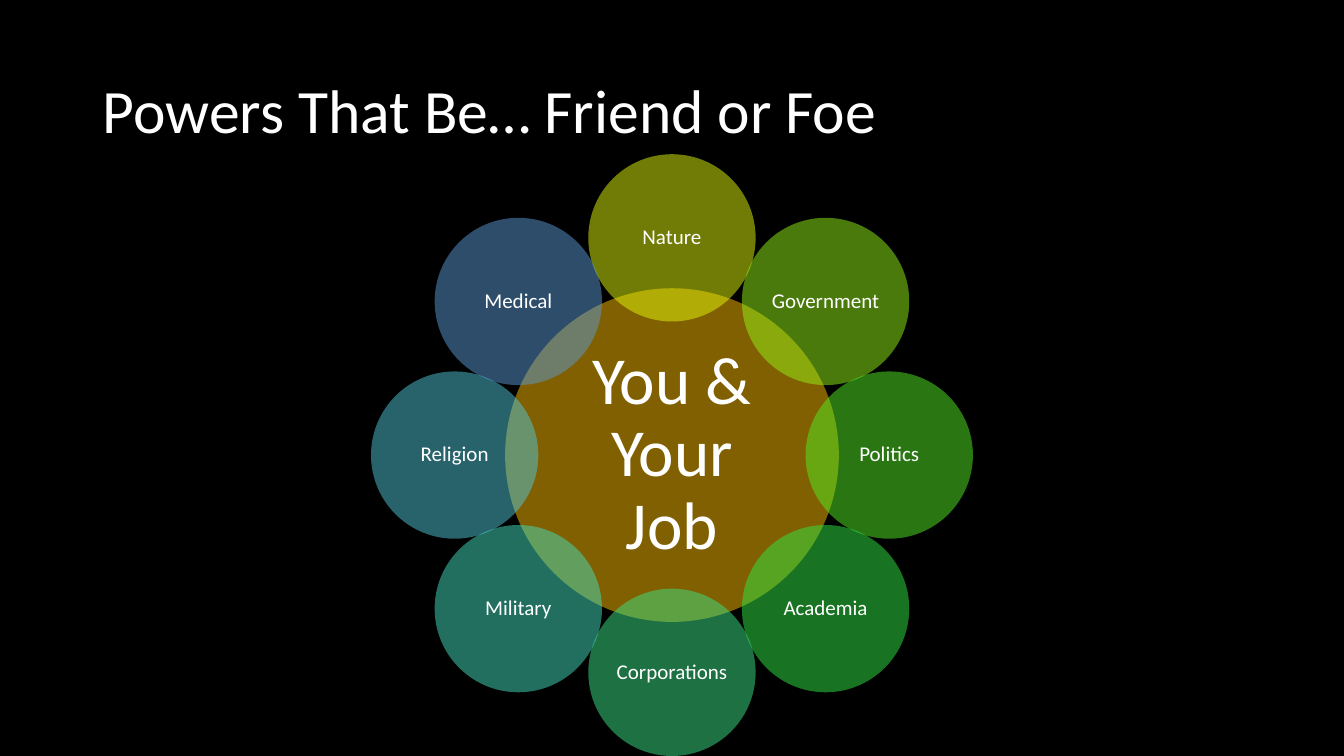
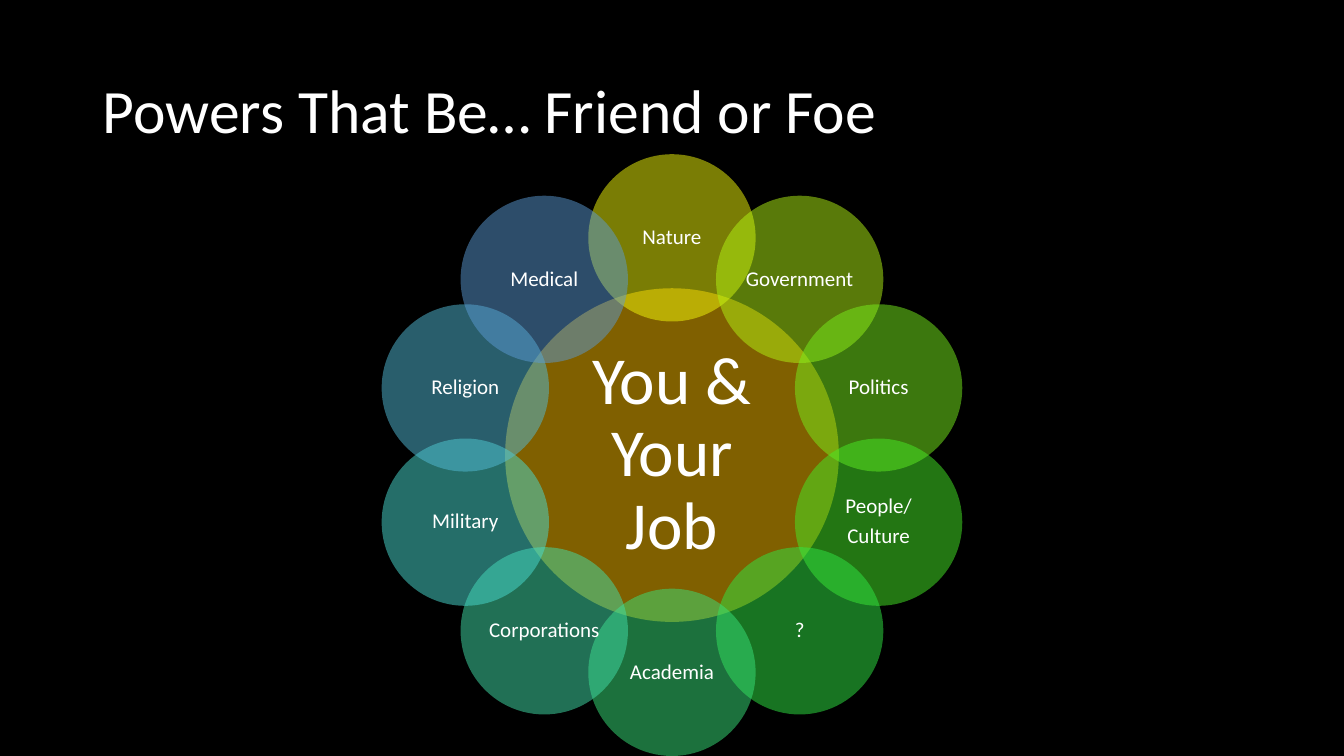
import math

from lxml import etree
from pptx import Presentation
from pptx.dml.color import RGBColor
from pptx.enum import shapes, text
from pptx.oxml.ns import qn
from pptx.util import Inches, Pt

FONT = "Calibri"
BLACK, WHITE, GOLD = "000000", "FFFFFF", "FFC000"
TITLE = "Powers That Be… Friend or Foe"
HUB = "You & Your Job"
TITLE_BOX = (0.92, 0.4, 11.5, 1.45)
WHEEL_BOX = (3.68, 1.53, 5.97)  # left, top, side
HUB_SIZE, PETAL_SIZE = 3.31, 1.66

# Petals run clockwise from the top.
WHEELS = [
    [("Nature", "E3F90C"), ("Government", "94F319"), ("Politics", "52ED24"),
     ("Academia", "30E845"), ("Corporations", "3BE287"), ("Military", "46DEBF"),
     ("Religion", "51C7D9"), ("Medical", "5B9BD5")],
    [("Nature", "F4FA0A"), ("Government", "B2F514"), ("Politics", "78F01D"),
     ("People/\nCulture", "46EC27"), ("?", "30E845"), ("Academia", "39E37B"),
     ("Corporations", "42E0AA"), ("Military", "4ADCD2"), ("Religion", "53BDD8"),
     ("Medical", "5B9BD5")],
]


def paint(fill, color, alpha=None):
    """Fill with a solid hex colour, at alpha percent opacity if given."""
    fill.solid()
    fill.fore_color.rgb = RGBColor.from_string(color)
    if alpha is not None:
        clr = fill.fore_color._xFill.find(qn("a:srgbClr"))
        etree.SubElement(clr, qn("a:alpha")).set("val", str(alpha * 1000))


def write(tf, words, size, align, inset=None):
    tf.word_wrap = True
    tf.vertical_anchor = text.MSO_ANCHOR.MIDDLE
    if inset is not None:
        tf.margin_left = tf.margin_right = Inches(inset)
        tf.margin_top = tf.margin_bottom = Inches(inset)
    tf.text = words
    for p in tf.paragraphs:
        p.alignment = align
        p.line_spacing = 0.9
        p.space_after = Pt(size * 0.35)
        p.font.name = FONT
        p.font.size = Pt(size)
        paint(p.font.fill, WHITE)


def add_title(s, box):
    tb = s.shapes.add_textbox(*map(Inches, box))
    write(tb.text_frame, TITLE, 44, text.PP_ALIGN.LEFT)


def add_circle(s, cx, cy, size, color, words, points, inset):
    sp = s.shapes.add_shape(shapes.MSO_SHAPE.OVAL, Inches(cx - size / 2),
                            Inches(cy - size / 2), Inches(size), Inches(size))
    sp.shadow.inherit = False
    sp.line.fill.background()
    paint(sp.fill, color, 50)
    write(sp.text_frame, words, points, text.PP_ALIGN.CENTER, inset)


def add_wheel(s, box, petals):
    """Draw the hub and an even ring of petals that touches the square box."""
    left, top, side = box
    cx, cy = left + side / 2, top + side / 2
    ring = (side - PETAL_SIZE) / 2
    add_circle(s, cx, cy, HUB_SIZE, GOLD, HUB, 48, 0.07)
    for i, (label, color) in enumerate(petals):
        angle = 2 * math.pi * i / len(petals)
        add_circle(s, cx + ring * math.sin(angle), cy - ring * math.cos(angle),
                   PETAL_SIZE, color, label, 15, 0.02)


def add_wheel_slide(prs, petals):
    s = prs.slides.add_slide(prs.slide_layouts[6])
    paint(s.background.fill, BLACK)
    add_title(s, TITLE_BOX)
    add_wheel(s, WHEEL_BOX, petals)


def main():
    prs = Presentation()
    prs.slide_width, prs.slide_height = Inches(13.33), Inches(7.5)
    for petals in WHEELS:
        add_wheel_slide(prs, petals)
    prs.save("out.pptx")


if __name__ == "__main__":
    main()
